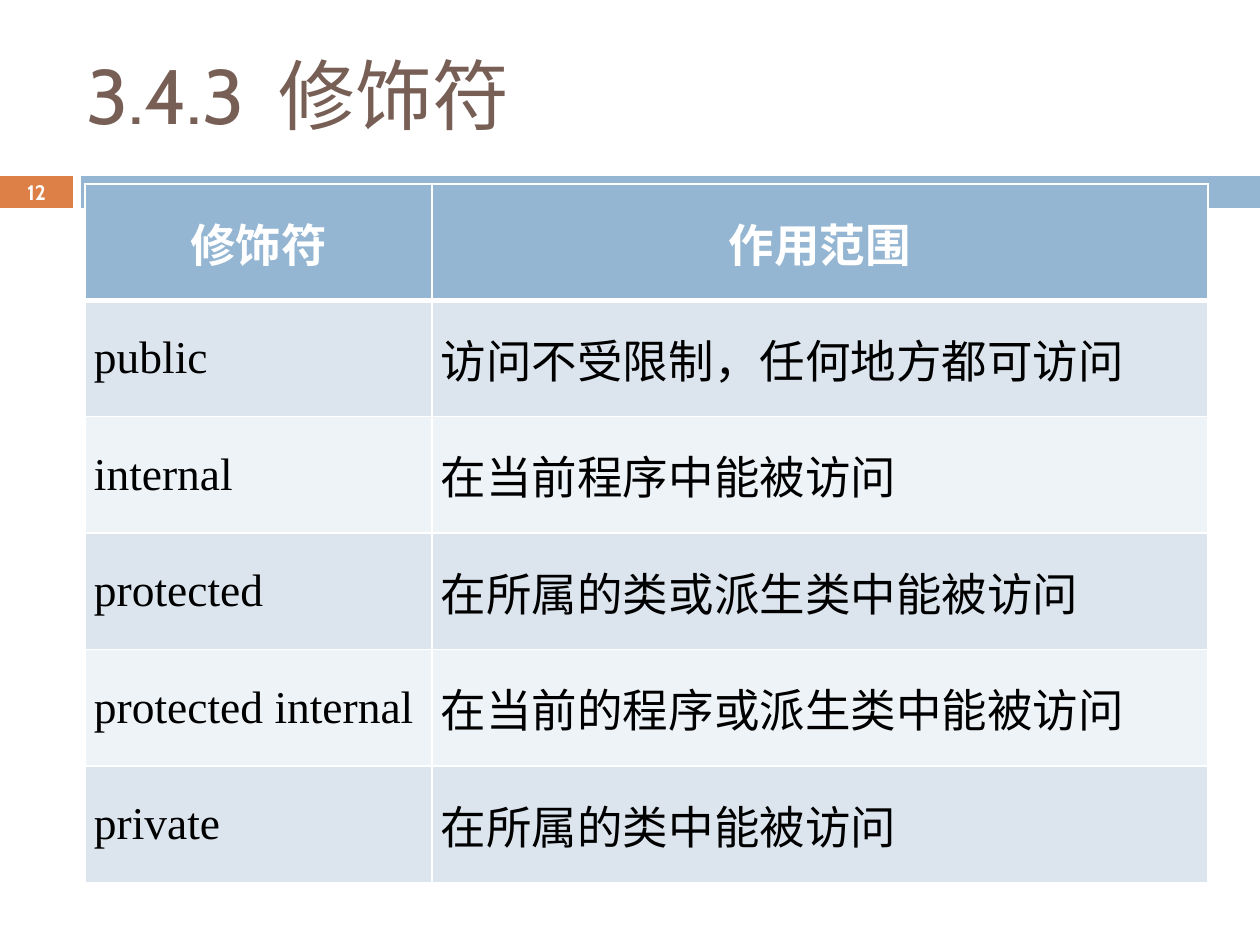
from lxml import etree
from pptx import Presentation
from pptx.dml.color import RGBColor
from pptx.enum.shapes import MSO_SHAPE
from pptx.enum.text import MSO_ANCHOR, PP_ALIGN
from pptx.oxml.ns import qn
from pptx.util import Pt

# Content
TITLE = "3.4.3  修饰符"
PAGE_NUMBER = "12"
HEADER = ("修饰符", "作用范围")
MODIFIERS = [
    ("public", "访问不受限制，任何地方都可访问"),
    ("internal", "在当前程序中能被访问"),
    ("protected", "在所属的类或派生类中能被访问"),
    ("protected internal", "在当前的程序或派生类中能被访问"),
    ("private", "在所属的类中能被访问"),
]

# Style
HEADING_FONT, TABLE_FONT = "Cabin", "Times New Roman"
ORANGE = RGBColor(0xDD, 0x80, 0x47)
BLUE = RGBColor(0x94, 0xB6, 0xD2)
BROWN = RGBColor(0x77, 0x5F, 0x55)
BAND_DARK = RGBColor(0xDC, 0xE5, 0xEE)
BAND_LIGHT = RGBColor(0xEE, 0xF3, 0xF7)
WHITE = RGBColor(0xFF, 0xFF, 0xFF)
BLACK = RGBColor(0, 0, 0)
RECTANGLE = MSO_SHAPE.RECTANGLE
MIDDLE = MSO_ANCHOR.MIDDLE
CENTER, JUSTIFY = PP_ALIGN.CENTER, PP_ALIGN.JUSTIFY

# Layout in px
SLIDE_WIDTH, SLIDE_HEIGHT = 1260, 945
BAR_TOP, BAR_HEIGHT = 176, 32
NUMBER_WIDTH, BAR_LEFT = 73, 81
TABLE_LEFT, TABLE_TOP = 85, 184
COLUMN_WIDTHS = (347, 776)
ROW_HEIGHT = 116.4
CELL_INSET = 9


def px(length):
    return round(length * 914400 / 126)


def write(frame, text, font, size, color, align, bold=False):
    frame.text = text
    paragraph = frame.paragraphs[0]
    paragraph.alignment = align
    style = paragraph.runs[0].font
    style.name, style.size, style.bold = font, Pt(size), bold
    style.color.rgb = color


def add_bar(slide, left, width, color):
    bar = slide.shapes.add_shape(
        RECTANGLE, px(left), px(BAR_TOP), px(width), px(BAR_HEIGHT))
    bar.shadow.inherit = False
    bar.fill.solid()
    bar.fill.fore_color.rgb = color
    bar.line.fill.background()


def set_borders(cell, widths):
    properties = cell._tc.get_or_add_tcPr()
    for index, (side, width) in enumerate(widths.items()):
        line = etree.Element(qn(f"a:ln{side}"), w=str(Pt(width)))
        fill = etree.SubElement(line, qn("a:solidFill"))
        etree.SubElement(fill, qn("a:srgbClr"), val=str(WHITE))
        properties.insert(index, line)


def add_modifier_table(slide):
    rows = [HEADER] + MODIFIERS
    table = slide.shapes.add_table(
        len(rows), len(HEADER), px(TABLE_LEFT), px(TABLE_TOP),
        px(sum(COLUMN_WIDTHS)), px(ROW_HEIGHT * len(rows))).table
    for column, width in zip(table.columns, COLUMN_WIDTHS):
        column.width = px(width)
    for r, texts in enumerate(rows):
        table.rows[r].height = px(ROW_HEIGHT)
        is_header = r == 0
        band = BLUE if is_header else BAND_DARK if r % 2 else BAND_LIGHT
        for c, text in enumerate(texts):
            cell = table.cell(r, c)
            cell.fill.solid()
            cell.fill.fore_color.rgb = band
            cell.vertical_anchor = MIDDLE
            cell.margin_left = cell.margin_right = px(CELL_INSET)
            cell.margin_top = cell.margin_bottom = 0
            write(cell.text_frame, text, TABLE_FONT, 26,
                  WHITE if is_header else BLACK,
                  CENTER if is_header else JUSTIFY, is_header)
            # A thick rule separates the header from the body
            set_borders(cell, {"L": 1, "R": 1, "T": 3 if r == 1 else 1,
                               "B": 3 if is_header else 1})


def main():
    deck = Presentation()
    deck.slide_width, deck.slide_height = px(SLIDE_WIDTH), px(SLIDE_HEIGHT)
    slide = deck.slides.add_slide(deck.slide_layouts[5])

    # Bars under the title
    add_bar(slide, 0, NUMBER_WIDTH, ORANGE)
    add_bar(slide, BAR_LEFT, SLIDE_WIDTH - BAR_LEFT, BLUE)

    # Title
    title = slide.shapes.title
    title.left, title.top, title.width, title.height = map(px, (74, 26, 1124, 136))
    title.text_frame.vertical_anchor = MIDDLE
    write(title.text_frame, TITLE, HEADING_FONT, 44, BROWN, JUSTIFY)

    # Page number
    number = slide.shapes.add_textbox(
        0, px(BAR_TOP - 1), px(NUMBER_WIDTH), px(BAR_HEIGHT + 2)).text_frame
    number.word_wrap = True
    number.vertical_anchor = MIDDLE
    number.margin_top = number.margin_bottom = 0
    write(number, PAGE_NUMBER, HEADING_FONT, 12, WHITE, CENTER, True)

    add_modifier_table(slide)
    deck.save("out.pptx")


if __name__ == "__main__":
    main()
